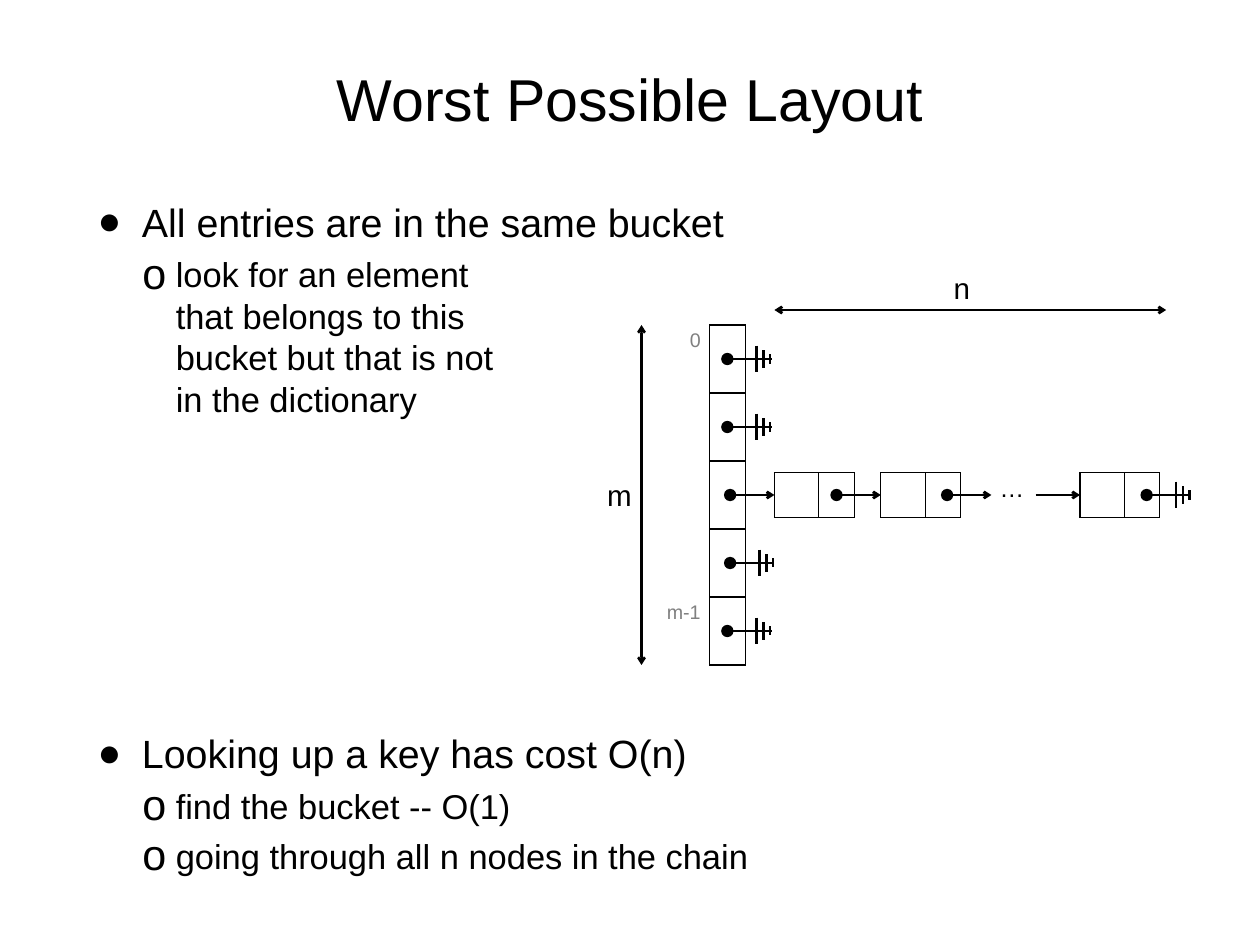
from pptx import Presentation as Deck
from pptx.dml.color import RGBColor as Rgb
from pptx.enum.shapes import MSO_CONNECTOR as Link
from pptx.enum.text import MSO_ANCHOR as Anchor, PP_ALIGN as Align
from pptx.oxml.ns import qn
from pptx.util import Cm, Pt
from lxml.etree import SubElement as Sub

INK = {"black": "000000", "gray": "808080"}


class Board:
    """Holds the style and the current slide, and draws each kind of element."""

    font = "Arial"
    inset = 0.16

    def __init__(self, slide):
        self.slide = slide

    def style(self, para, size, ink="black"):
        for run in para.runs:
            run.font.name = self.font
            run.font.size = Pt(size)
            run.font.color.rgb = Rgb.from_string(INK[ink])

    def frame(self, x, y, w, h, wrap=True):
        frame = self.slide.shapes.add_textbox(Cm(x), Cm(y), Cm(w), Cm(h)).text_frame
        frame.word_wrap = wrap
        if wrap:
            frame.margin_left = frame.margin_right = Cm(self.inset)
            frame.margin_top = frame.margin_bottom = Cm(self.inset)
        return frame

    def label(self, text, x, y, w, h, size, wrap=False):
        frame = self.frame(x, y, w, h, wrap)
        frame.vertical_anchor = Anchor.MIDDLE if wrap else Anchor.TOP
        frame.text = text
        para = frame.paragraphs[0]
        para.alignment = Align.CENTER
        self.style(para, size)

    def bullets(self, x, y, w, h, head, subs):
        frame = self.frame(x, y, w, h)
        for num, text in enumerate([head, *subs]):
            para = frame.add_paragraph() if num else frame.paragraphs[0]
            para.text = text
            left, hang, mark, pct = (2.24, 0.96, "o", 125) if num else (1.27, 1.27, "●", 100)
            prop = para._p.get_or_add_pPr()
            prop.set("marL", str(Cm(left)))
            prop.set("indent", str(-Cm(hang)))
            if num:
                para.level = 1
                para.space_before = Pt(7)
            Sub(prop, qn("a:buSzPct")).set("val", str(pct * 1000))
            Sub(prop, qn("a:buFont")).set("typeface", self.font)
            Sub(prop, qn("a:buChar")).set("char", mark)
            self.style(para, 28 if num else 32)

    def border(self, cell, sides):
        prop = cell._tc.get_or_add_tcPr()
        for side in "LRTB":
            edge = Sub(prop, qn("a:ln" + side), w=str(Pt(1)))
            if side in sides:
                fill = Sub(edge, qn("a:solidFill"))
                Sub(fill, qn("a:srgbClr")).set("val", INK["black"])
            else:
                Sub(edge, qn("a:noFill"))
        cell.fill.background()

    def table(self, x, y, cols, rows, high, first="LRTB"):
        shape = self.slide.shapes.add_table(
            rows, len(cols), Cm(x), Cm(y), Cm(sum(cols)), Cm(rows * high))
        grid = shape.table
        grid.first_row = grid.horz_banding = False
        for col, wide in zip(grid.columns, cols):
            col.width = Cm(wide)
        for row in grid.rows:
            row.height = Cm(high)
            for num, cell in enumerate(row.cells):
                self.border(cell, "LRTB" if num else first)
        return grid

    def index(self, cell, text):
        cell.text = text
        para = cell.text_frame.paragraphs[0]
        para.alignment = Align.RIGHT
        self.style(para, 16, "gray")

    def line(self, x1, y1, x2, y2, head=None, tail=None):
        link = self.slide.shapes.add_connector(
            Link.STRAIGHT, Cm(x1), Cm(y1), Cm(x2), Cm(y2))
        link.line.color.rgb = Rgb.from_string(INK["black"])
        link.line.width = Pt(2)
        edge = link.line._get_or_add_ln()
        for tag, kind in (("a:headEnd", head), ("a:tailEnd", tail)):
            if kind:
                size = "lg" if kind == "oval" else "med"
                Sub(edge, qn(tag), type=kind, w=size, len=size)
        Sub(link._element.spPr, qn("a:effectLst"))

    def ground(self, x, y):
        self.line(x, y, x + 1.27, y, "oval")
        for step, half in ((0.84, 0.38), (1.04, 0.25), (1.23, 0.13)):
            self.line(x + step, y - half, x + step, y + half)


def main():
    deck = Deck()
    deck.slide_width, deck.slide_height = Cm(36.12), Cm(27.1)
    board = Board(deck.slides.add_slide(deck.slide_layouts[6]))

    board.label("Worst Possible Layout", 2.64, 0.71, 30.84, 4.17, 48, True)
    board.bullets(2.64, 5.51, 30.84, 7, "All entries are in the same bucket", [
        "look for an element\nthat belongs to this\nbucket but that is not\nin the dictionary"])
    board.bullets(2.64, 20.75, 30.84, 4.6, "Looking up a key has cost O(n)", [
        "find the bucket -- O(1)", "going through all n nodes in the chain"])

    top, high, rows = 9.32, 1.95, 5
    mid = top + high * rows / 2
    slots = board.table(18.82, top, (1.52, 1.02), rows, high, "R")
    board.index(slots.cell(0, 0), "0")
    board.index(slots.cell(rows - 1, 0), "m-1")
    for row, x in ((0, 20.85), (1, 20.85), (3, 20.93), (4, 20.85)):
        board.ground(x, top + high * (row + 0.5))

    side = 1.27
    for x in (22.2, 25.25, 30.96):
        board.table(x, mid - side / 2, (side, 1.02), 1, side)
    for x, head in ((20.93, "oval"), (23.98, "oval"), (27.15, "oval"), (29.69, None)):
        board.line(x, mid, x + side, mid, head, "arrow")
    board.ground(32.87, mid)
    board.label("…", 28.4, 13.44, 1.22, 1.12, 20)

    board.line(18.39, top, 18.39, top + high * rows, "arrow", "arrow")
    board.label("m", 17.15, 13.56, 1.22, 1.27, 24)
    board.line(33.43, 8.89, 22.2, 8.89, "arrow", "arrow")
    board.label("n", 27.08, 7.62, 0.99, 1.27, 24)
    deck.save("out.pptx")


if __name__ == "__main__":
    main()
